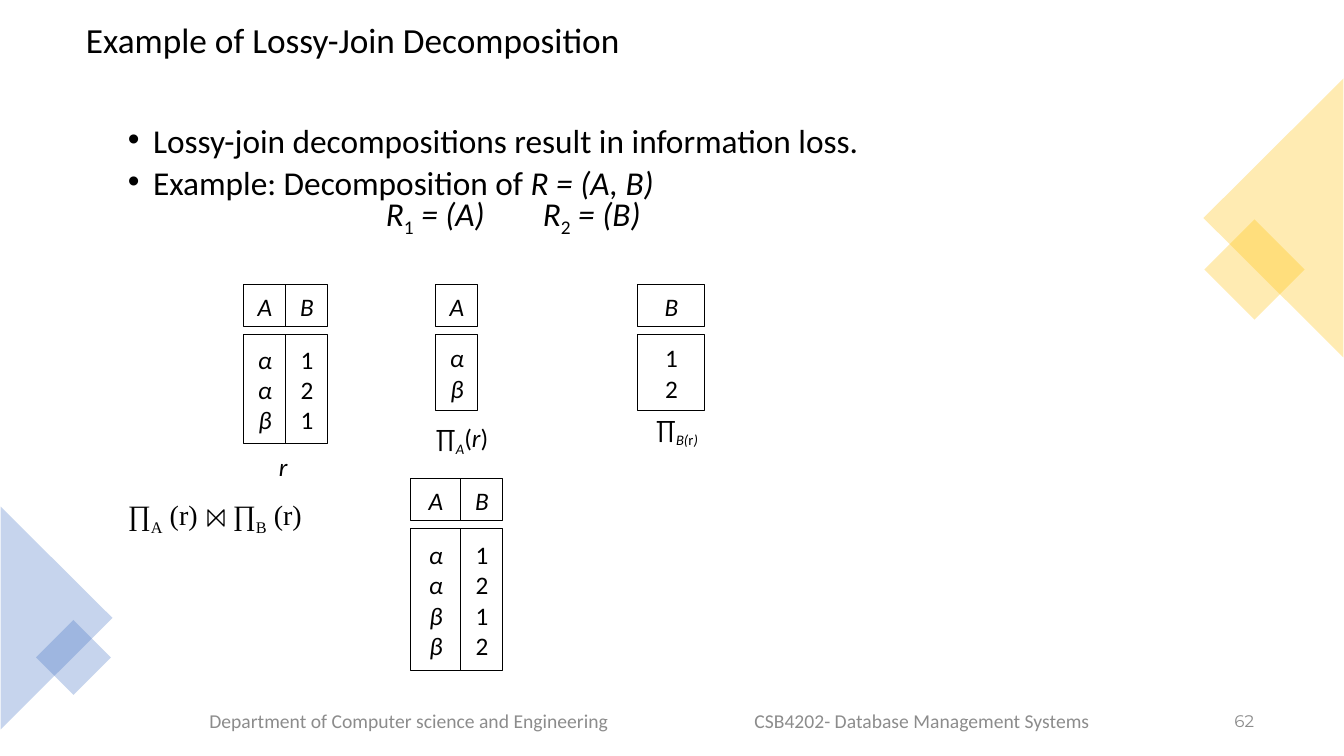
from dataclasses import dataclass

from lxml import etree
from pptx import Presentation
from pptx import util as u
from pptx.dml.color import RGBColor
from pptx.enum import shapes, text
from pptx.oxml.ns import qn

PX = 914400 / 100.8


@dataclass(frozen=True)
class Theme:
    ink: str = "000000"
    paper: str = "FFFFFF"
    muted: str = "8C8C8C"
    gold: str = "FFC000"
    blue: str = "4472C4"
    sans: str = "Calibri"
    serif: str = "Times New Roman"
    number_face: str = "Montserrat"
    title: float = 25.2
    body: float = 23.8
    formula: float = 20
    cell: float = 18
    footer: float = 14
    page: float = 12


THEME = Theme()
ALIGN = text.PP_ALIGN
MIDDLE = text.MSO_ANCHOR.MIDDLE


def px(*lengths):
    return [u.Emu(round(length * PX)) for length in lengths]


def add_runs(paragraph, runs):
    """Each run is (words, style); style letters: i italic, s subscript."""
    for words, style in runs:
        if words == "\n":
            paragraph.add_line_break()
            continue
        run = paragraph.add_run()
        run.text = words
        if "i" in style:
            run.font.italic = True
        if "s" in style:
            run._r.get_or_add_rPr().set("baseline", "-25000")


def add_tabs(paragraph, *stops):
    tabs = etree.SubElement(paragraph._p.get_or_add_pPr(), qn("a:tabLst"))
    for stop in px(*stops):
        etree.SubElement(tabs, qn("a:tab"), pos=str(stop), algn="l")


def add_bullet(paragraph, indent):
    properties = paragraph._p.get_or_add_pPr()
    properties.set("marL", str(indent))
    properties.set("indent", str(-indent))
    etree.SubElement(properties, qn("a:buFont"), typeface="Arial")
    etree.SubElement(properties, qn("a:buChar"), char="•")


def set_font(paragraph, size, face=THEME.sans, color=THEME.ink):
    paragraph.font.size = u.Pt(size)
    paragraph.font.name = face
    paragraph.font.color.rgb = RGBColor.from_string(color)


def add_label(slide, box, runs, size, face=THEME.sans, color=THEME.ink,
              align=ALIGN.CENTER, wrap=True):
    frame = slide.shapes.add_textbox(*px(*box)).text_frame
    frame.word_wrap = wrap
    frame.vertical_anchor = MIDDLE
    label = frame.paragraphs[0]
    label.alignment = align
    add_runs(label, runs)
    set_font(label, size, face, color)
    return label


def add_ornament(slide, kind, box, rotation, color):
    ornament = slide.shapes.add_shape(kind, *px(*box))
    ornament.shadow.inherit = False
    ornament.rotation = rotation
    ornament.line.fill.background()
    ornament.fill.solid()
    ornament.fill.fore_color.rgb = RGBColor.from_string(color)
    tint = ornament.fill._xPr.find(".//" + qn("a:srgbClr"))
    etree.SubElement(tint, qn("a:alpha"), val="30000")


def add_ornaments(slide):
    square = shapes.MSO_SHAPE.RECTANGLE
    triangle = shapes.MSO_SHAPE.ISOSCELES_TRIANGLE
    add_ornament(slide, square, (1219, 234, 71, 71), 45, THEME.gold)
    add_ornament(slide, triangle, (1134, 148, 279, 140), 270, THEME.gold)
    add_ornament(slide, triangle, (-55, 562, 223, 112), 90, THEME.blue)
    add_ornament(slide, square, (47, 631, 53, 53), 45, THEME.blue)


def add_footer(slide, top, height):
    for center, words in ((409, "Department of Computer science and Engineering"),
                          (922, "CSB4202- Database Management Systems")):
        add_label(slide, (center - 230, top, 460, height), [(words, "")],
                  THEME.footer, color=THEME.muted)
    add_label(slide, (1191, top, 73, height), [("62", "")], THEME.page,
              THEME.number_face, THEME.muted, ALIGN.RIGHT)


def add_points(slide, box):
    frame = slide.shapes.add_textbox(*px(*box)).text_frame
    frame.word_wrap = True
    points = (
        [("Lossy-join decompositions result in information loss.", "")],
        [("Example: Decomposition of ", ""), ("R = (A, B)", "i"), ("\n", ""),
         ("\tR", "i"), ("1", "s"), (" = (A)\tR", "i"), ("2", "s"), (" = (B)", "i")],
    )
    for index, runs in enumerate(points):
        point = frame.add_paragraph() if index else frame.paragraphs[0]
        add_bullet(point, u.Inches(0.25))
        add_tabs(point, 258, 415)
        point.line_spacing = 0.7
        if index:
            point.space_before = u.Pt(10)
        add_runs(point, runs)
        set_font(point, THEME.body)


def add_cell(slide, box, values):
    cell = slide.shapes.add_shape(shapes.MSO_SHAPE.RECTANGLE, *px(*box))
    cell.shadow.inherit = False
    cell.fill.solid()
    cell.fill.fore_color.rgb = RGBColor.from_string(THEME.paper)
    cell.line.color.rgb = RGBColor.from_string(THEME.ink)
    cell.line.width = u.Pt(0.75)
    frame = cell.text_frame
    frame.word_wrap = False
    frame.vertical_anchor = MIDDLE
    for index, value in enumerate(values):
        line = frame.add_paragraph() if index else frame.paragraphs[0]
        line.alignment = ALIGN.CENTER
        add_runs(line, [(value, "")])
        set_font(line, THEME.cell)
        line.font.italic = not value.isdigit()


def add_relation(slide, left, top, columns):
    """Each column is (attribute, values, width); values share one tall cell."""
    for attribute, values, width in columns:
        add_cell(slide, (left, top, width, 42), attribute)
        add_cell(slide, (left, top + 50, width, 10 + 33 * len(values)), values)
        left += width


def add_join_formula(slide, left, top):
    formula = add_label(slide, (left, top, 277, 96), [], THEME.formula,
                        THEME.serif, align=ALIGN.LEFT)
    formula._p.remove(formula._p.pPr)
    add_tabs(formula, 105)
    add_runs(formula, [("∏", ""), ("A", "s"), (" (r)\t∏", ""), ("B", "s"), (" (r)", "")])
    set_font(formula, THEME.formula, THEME.serif)
    formula._parent.vertical_anchor = text.MSO_ANCHOR.TOP

    builder = slide.shapes.build_freeform(left + 90, top + 17, scale=PX)
    corners = ((0, 16), (16, 0), (16, 16))
    builder.add_line_segments([(left + 90 + x, top + 17 + y) for x, y in corners])
    bowtie = builder.convert_to_shape()
    bowtie.shadow.inherit = False
    bowtie.fill.background()
    bowtie.line.color.rgb = RGBColor.from_string(THEME.ink)
    bowtie.line.width = u.Pt(1)


def build_slide(slide):
    add_ornaments(slide)
    add_footer(slide, 701, 40)
    title = add_label(slide, (76, 17, 940, 50),
                      [("Example of Lossy-Join Decomposition", "")],
                      THEME.title, align=ALIGN.LEFT)
    title.line_spacing = 0.9
    add_points(slide, (118, 126, 909, 116))

    add_relation(slide, 244, 285, [("A", "ααβ", 42), ("B", "121", 42)])
    add_relation(slide, 436, 285, [("A", "αβ", 42)])
    add_relation(slide, 638, 285, [("B", "12", 67)])
    add_relation(slide, 411, 479, [("A", "ααββ", 50), ("B", "1212", 42)])

    captions = (
        ((269, 446, 28, 40), [("r", "i")]),
        ((423, 420, 78, 40), [("∏", ""), ("A", "is"), ("(", ""), ("r", "i"), (")", "")]),
        ((642, 411, 70, 40), [("∏", ""), ("B(", "is"), ("r", "s"), (")", "is")]),
    )
    for box, runs in captions:
        add_label(slide, box, runs, THEME.cell, wrap=False)
    add_join_formula(slide, 118, 493)


def main():
    deck = Presentation()
    deck.slide_width, deck.slide_height = px(1344, 756)
    build_slide(deck.slides.add_slide(deck.slide_layouts[6]))
    deck.save("out.pptx")


if __name__ == "__main__":
    main()
